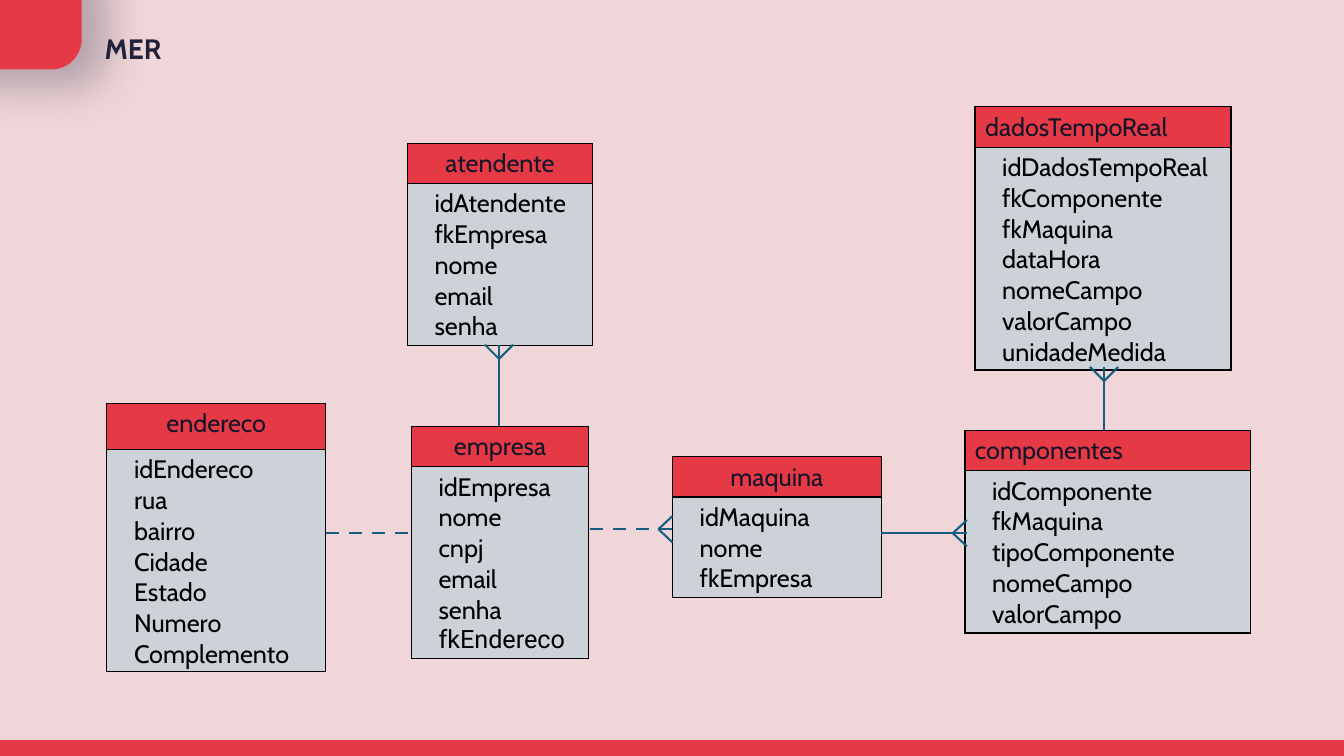
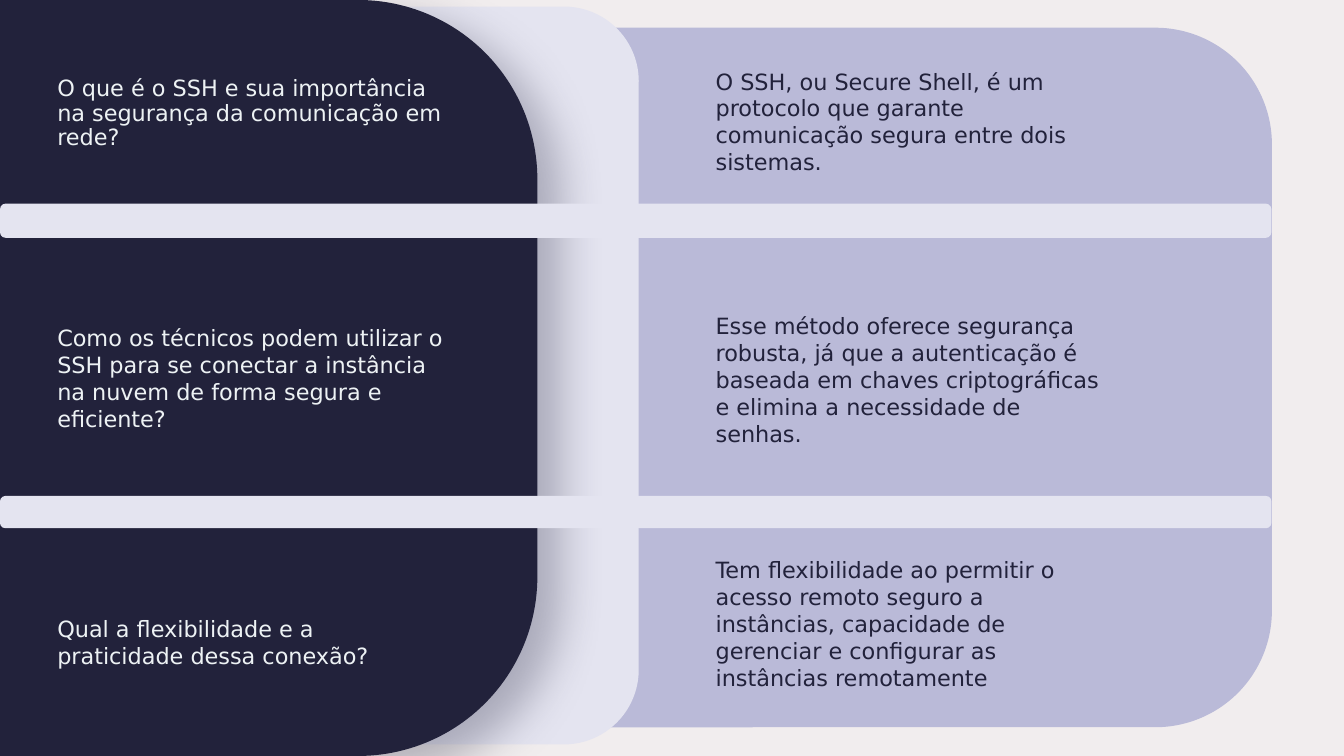
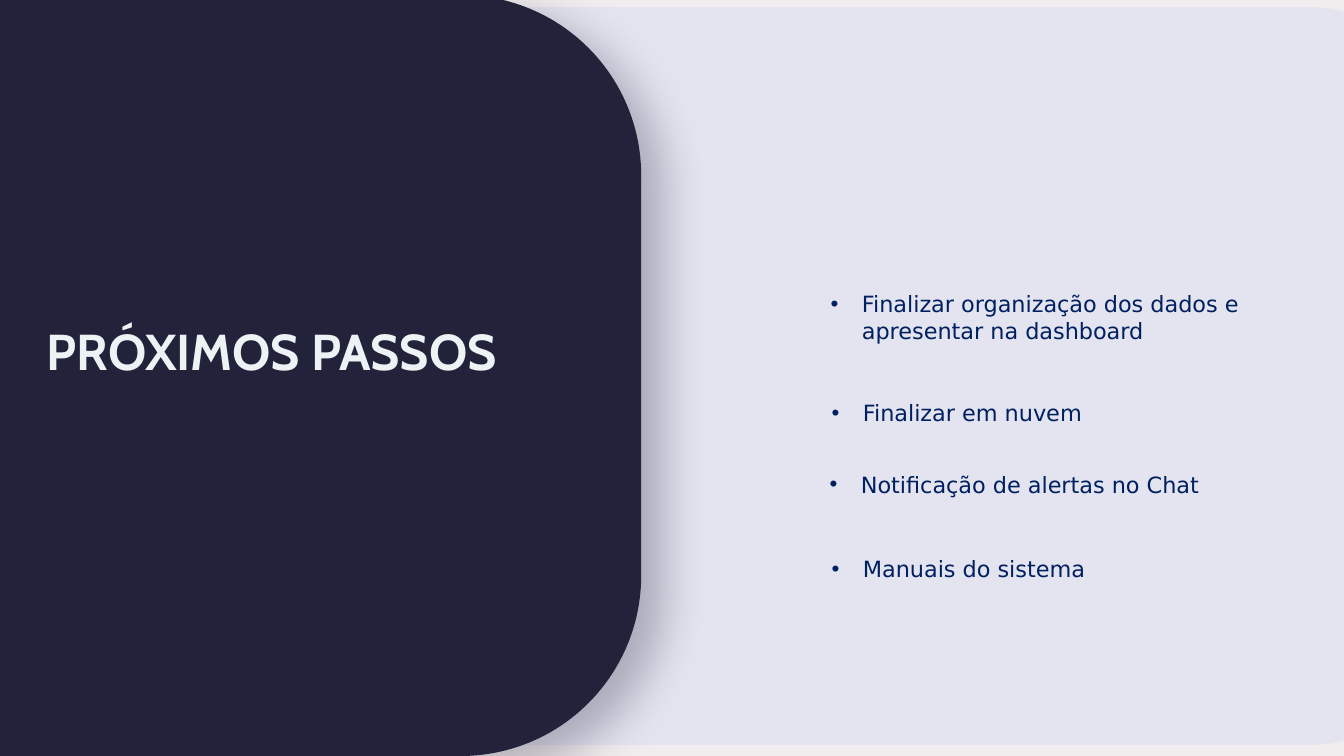
from lxml import etree
from pptx import Presentation
from pptx.dml.color import RGBColor
from pptx.enum.shapes import MSO_CONNECTOR, MSO_SHAPE
from pptx.enum.text import MSO_ANCHOR, MSO_AUTO_SIZE, PP_ALIGN
from pptx.oxml.ns import qn
from pptx.util import Inches, Pt

RECT = MSO_SHAPE.RECTANGLE
ROUND = MSO_SHAPE.ROUNDED_RECTANGLE
ROUND_TOP = MSO_SHAPE.ROUND_2_SAME_RECTANGLE
BAR = MSO_SHAPE.FLOWCHART_ALTERNATE_PROCESS
STRAIGHT = MSO_CONNECTOR.STRAIGHT
TOP, MIDDLE = MSO_ANCHOR.TOP, MSO_ANCHOR.MIDDLE
LEFT, CENTER = PP_ALIGN.LEFT, PP_ALIGN.CENTER
GROW = MSO_AUTO_SIZE.SHAPE_TO_FIT_TEXT

RED, NAVY, VEIL = "E63946", "22223B", "F2F2F2"
LILAC, PALE, LIGHT = "BABAD8", "E4E4F0", "EDF2F4"
HEADER_INK, BLACK, CELL, LINK = "151529", "000000", "CCD2D8", "156082"
BLUE = "002060"

TITLE = {"name": "Cabin", "size": Pt(36), "bold": True}
SMALL_TITLE = {**TITLE, "size": Pt(20)}
BODY = {"name": "DejaVu Sans", "size": Pt(16)}
ENTITY = {"name": "Cabin", "size": Pt(18)}
FOREIGN_KEY = {**ENTITY, "name": "Roboto"}


def rgb(color):
    return RGBColor.from_string(color)


def sub(parent, tag, **attrs):
    return etree.SubElement(parent, qn(tag), {k: str(v) for k, v in attrs.items()})


class Deck:
    def __init__(self):
        self.prs = Presentation()
        self.prs.slide_width, self.prs.slide_height = Inches(13.33), Inches(7.5)

    def new_slide(self, *veils):
        self.s = self.prs.slides.add_slide(self.prs.slide_layouts[6])
        fill = self.s.background.fill
        fill.solid()
        fill.fore_color.rgb = rgb(RED)
        for box in veils:
            self.shape(RECT, box, VEIL, alpha=85)

    def shape(self, kind, box, color, alpha=None, rotation=0):
        sp = self.s.shapes.add_shape(kind, *map(Inches, box))
        sp.shadow.inherit = False
        sp.rotation = rotation
        sp.fill.solid()
        sp.fill.fore_color.rgb = rgb(color)
        sp.line.fill.background()
        if alpha:
            clr = sp._element.spPr.find(qn("a:solidFill")).find(qn("a:srgbClr"))
            sub(clr, "a:alpha", val=alpha * 1000)
        return sp

    def panel(self, box, color):
        """Rounded panel that casts a soft shadow to the lower right."""
        sp = self.shape(ROUND, box, color)
        sp.adjustments[0] = 0.237
        effects = sp._element.spPr.find(qn("a:effectLst"))
        shadow = sub(effects, "a:outerShdw", blurRad=Pt(32), dist=Pt(21),
                     dir=36 * 60000, algn="tl", rotWithShape=0)
        sub(sub(shadow, "a:srgbClr", val=NAVY), "a:alpha", val=30000)

    def run(self, p, text, font, color):
        r = p.add_run()
        r.text = text
        for name, value in font.items():
            setattr(r.font, name, value)
        r.font.color.rgb = rgb(color)

    def text(self, box, text, font, color, align=LEFT, anchor=MIDDLE,
             bullet=False, spacing=None, grow=False):
        tf = self.s.shapes.add_textbox(*map(Inches, box)).text_frame
        tf.word_wrap = True
        tf.vertical_anchor = anchor
        if grow:
            tf.auto_size = GROW
        p = tf.paragraphs[0]
        p.alignment = align
        if spacing:
            p.line_spacing = spacing
        if bullet:
            pPr = p._p.get_or_add_pPr()
            pPr.set("marL", str(Inches(0.31)))
            pPr.set("indent", str(-Inches(0.31)))
            sub(pPr, "a:buFont", typeface="Arial")
            sub(pPr, "a:buChar", char="•")
        self.run(p, text, font, color)

    def cell(self, cell, color):
        tcPr = cell._tc.get_or_add_tcPr()
        for side in ("a:lnL", "a:lnR", "a:lnT", "a:lnB"):
            ln = sub(tcPr, side, w=Pt(1))
            sub(sub(ln, "a:solidFill"), "a:srgbClr", val=BLACK)
        cell.fill.solid()
        cell.fill.fore_color.rgb = rgb(color)

    def entity(self, box, name, fields, align=CENTER, header=0.4):
        """Two-row table: entity name above its fields."""
        tbl = self.s.shapes.add_table(2, 1, *map(Inches, box)).table
        tbl.first_row = tbl.horz_banding = False
        tbl.rows[0].height = Inches(header)
        tbl.rows[1].height = Inches(box[3] - header)
        head, body = tbl.cell(0, 0), tbl.cell(1, 0)
        self.cell(head, RED)
        self.cell(body, CELL)
        p = head.text_frame.paragraphs[0]
        p.alignment = align
        self.run(p, name, ENTITY, HEADER_INK)
        body.margin_left = Inches(0.27)
        body.margin_right = 0
        tf = body.text_frame
        for i, field in enumerate(fields):
            p = tf.add_paragraph() if i else tf.paragraphs[0]
            self.run(p, field, FOREIGN_KEY if field == "fkEndereco" else ENTITY, BLACK)

    def line(self, x1, y1, x2, y2):
        c = self.s.shapes.add_connector(STRAIGHT, *map(Inches, (x1, y1, x2, y2)))
        c.line.color.rgb = rgb(LINK)
        c.line.width = Pt(1.5)
        sub(c._element.spPr, "a:effectLst")

    def dashes(self, x, y, count=4, dash=0.13, pitch=0.23):
        for i in range(count):
            self.line(x + i * pitch, y, x + i * pitch + dash, y)

    def foot_right(self, x, y):
        """Crow's foot opening to the right, ending at x."""
        for side in (-1, 1):
            self.line(x - 0.14, y, x, y + side * 0.13)

    def foot_up(self, x, y):
        """Crow's foot opening upwards, ending at y."""
        for side in (-1, 1):
            self.line(x, y + 0.14, x + side * 0.14, y)


def model_slide(d):
    d.new_slide((-0.55, 0, 14.74, 7.34))
    d.panel((-0.66, -0.57, 1.47, 1.26), RED)
    d.text((0.8, 0.26, 1.04, 0.44), "MER", SMALL_TITLE, NAVY, CENTER, TOP, grow=True)

    # Entities
    d.entity((1.06, 4, 2.17, 2.66), "endereco",
             ["idEndereco", "rua", "bairro", "Cidade", "Estado", "Numero",
              "Complemento"], header=0.46)
    d.entity((4.04, 1.42, 1.84, 2.01), "atendente",
             ["idAtendente", "fkEmpresa", "nome", "email", "senha"])
    d.entity((6.67, 4.53, 2.07, 1.4), "maquina", ["idMaquina", "nome", "fkEmpresa"])
    d.entity((9.57, 4.27, 2.83, 2.01), "componentes",
             ["idComponente", "fkMaquina", "tipoComponente", "nomeCampo",
              "valorCampo"], LEFT)
    d.entity((9.67, 1.06, 2.54, 2.61), "dadosTempoReal",
             ["idDadosTempoReal", "fkComponente", "fkMaquina", "dataHora",
              "nomeCampo", "valorCampo", "unidadeMedida"], LEFT)

    # Relations
    d.line(8.74, 5.29, 9.59, 5.29)
    d.foot_right(9.59, 5.29)
    for x, top in ((10.95, 3.64), (4.95, 3.42)):
        d.line(x, 4.27, x, top)
        d.foot_up(x, top)
    d.dashes(3.23, 5.29)
    d.dashes(5.85, 5.25)
    d.foot_right(6.67, 5.25)

    # Central entity, above the line ends
    d.entity((4.08, 4.23, 1.76, 2.3), "empresa",
             ["idEmpresa", "nome", "cnpj", "email", "senha", "fkEndereco"])


VEILS = (-0.54, -0.05, 14.74, 9.25), (-0.88, -0.07, 14.74, 9.25)


def ssh_slide(d):
    d.new_slide(*VEILS)
    d.shape(ROUND_TOP, (4.91, -0.49, 6.94, 8.47), LILAC, rotation=90)
    d.shape(ROUND_TOP, (0.45, 1.5, 7.32, 4.45), PALE, rotation=90)
    d.panel((-2.24, 0, 7.57, 7.5), NAVY)

    # Questions
    questions = [
        (0.66, "O que é o SSH e sua importância na segurança da comunicação em rede?", 0.9),
        (3.28, "Como os técnicos podem utilizar o SSH para se conectar a instância "
               "na nuvem de forma segura e eficiente?", None),
        (5.9, "Qual a flexibilidade e a praticidade dessa conexão?", None),
    ]
    for y, question, spacing in questions:
        d.text((0.47, y, 4.04, 0.94), question, BODY, LIGHT, spacing=spacing)

    # Dividers
    for y, h in ((4.92, 0.32), (2.02, 0.34)):
        d.shape(BAR, (0, y, 12.61, h), PALE)

    # Answers
    answers = [
        (0.66, 1.09, "O SSH, ou Secure Shell, é um protocolo que garante comunicação "
                     "segura entre dois sistemas."),
        (3.13, 1.27, "Esse método oferece segurança robusta, já que a autenticação é "
                     "baseada em chaves criptográficas e elimina a necessidade de senhas."),
        (5.58, 1.21, "Tem flexibilidade ao permitir o acesso remoto seguro a instâncias, "
                     "capacidade de gerenciar e configurar as instâncias remotamente"),
    ]
    for y, h, answer in answers:
        d.text((7, y, 4.04, h), answer, BODY, NAVY)


def next_steps_slide(d):
    d.new_slide(*VEILS)
    d.shape(ROUND_TOP, (4.39, -2.44, 7.32, 12.34), PALE, rotation=90)
    d.panel((-2.44, -0.05, 8.8, 7.55), NAVY)
    d.text((0.24, 3.13, 4.91, 0.71), "PRÓXIMOS PASSOS", TITLE, LIGHT, CENTER, TOP,
           grow=True)

    # Steps
    steps = [
        (8.14, 2.89, 4.82, "Finalizar organização dos dados e apresentar na dashboard"),
        (8.15, 3.84, 4.12, "Finalizar em nuvem"),
        (8.13, 4.55, 4.12, "Notificação de alertas no Chat"),
        (8.15, 5.39, 4.12, "Manuais do sistema"),
    ]
    for x, y, w, step in steps:
        d.text((x, y, w, 0.51), step, BODY, BLUE, bullet=True)


def main():
    d = Deck()
    model_slide(d)
    ssh_slide(d)
    next_steps_slide(d)
    d.prs.save("out.pptx")


if __name__ == "__main__":
    main()
